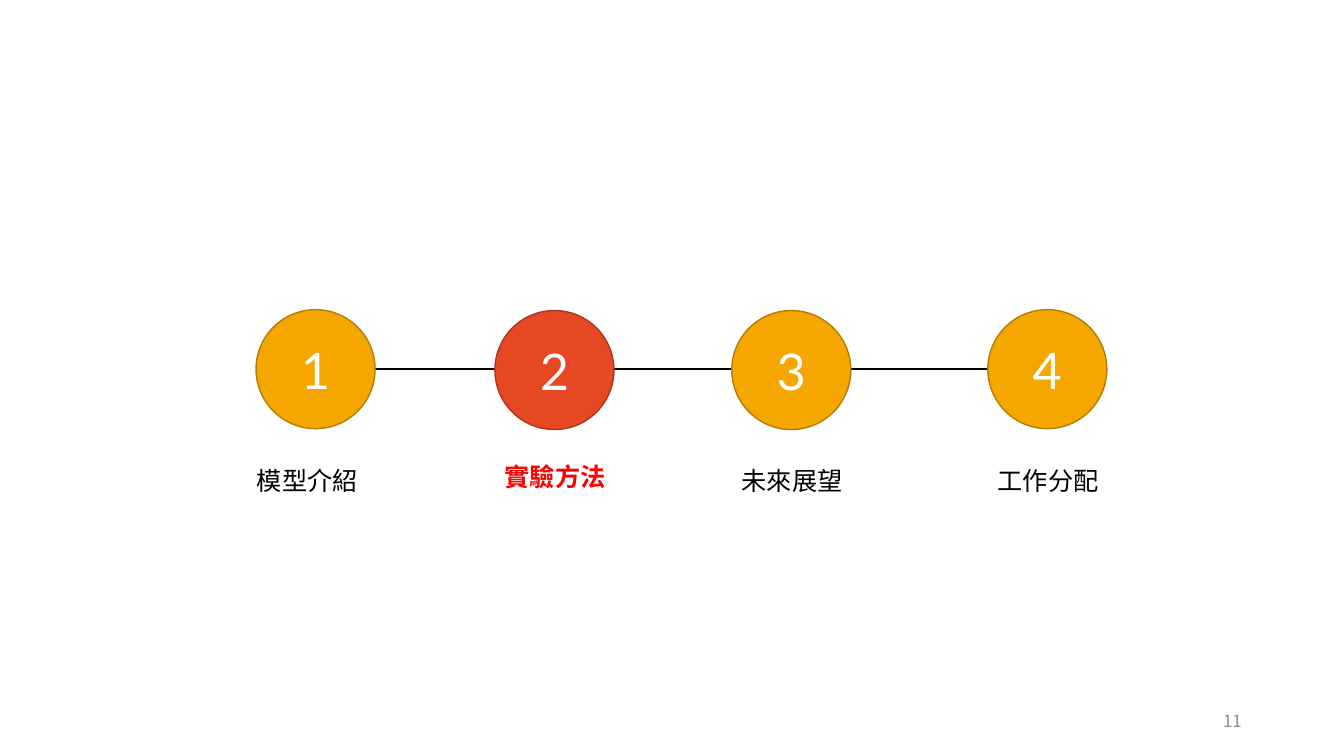
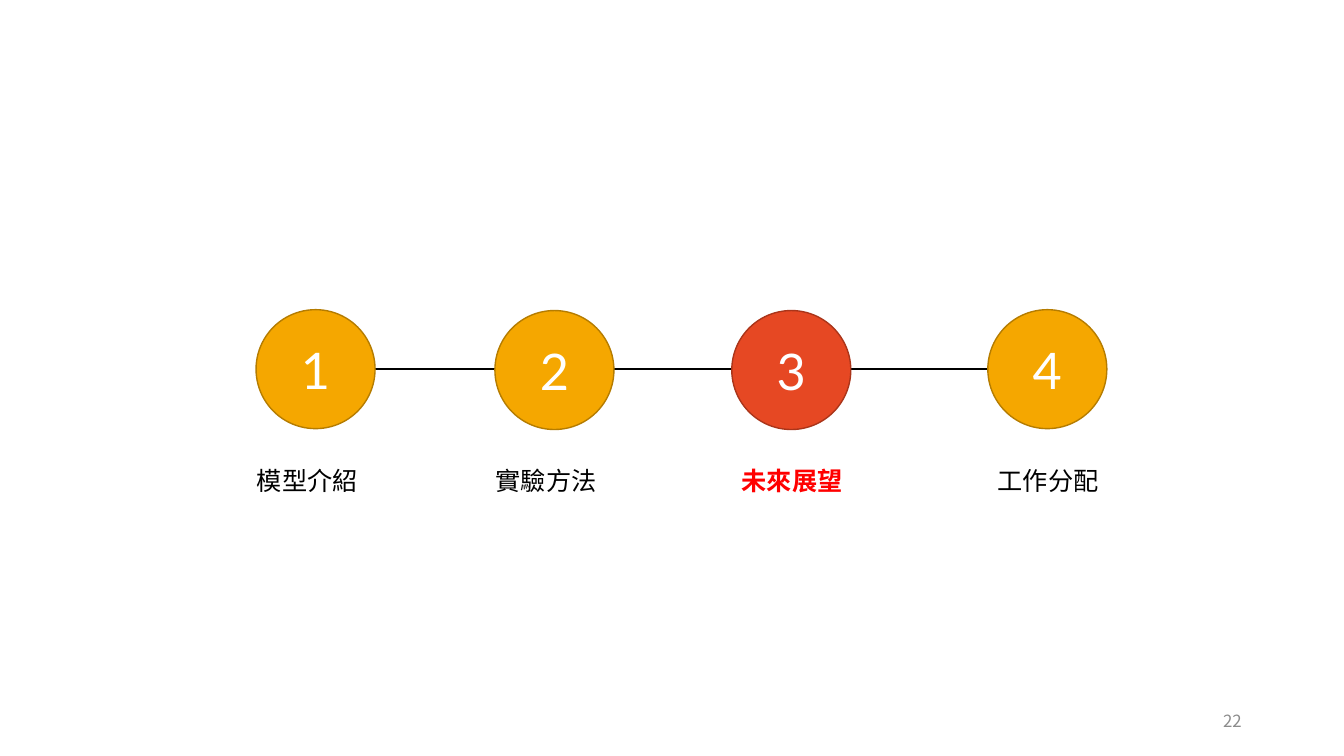
from lxml import etree
from pptx import Presentation
from pptx.dml.color import RGBColor
from pptx.enum.shapes import MSO_CONNECTOR, MSO_SHAPE
from pptx.enum.text import MSO_ANCHOR, PP_ALIGN
from pptx.oxml.ns import qn
from pptx.util import Pt

STRAIGHT = MSO_CONNECTOR.STRAIGHT
OVAL = MSO_SHAPE.OVAL
TOP, MIDDLE = MSO_ANCHOR.TOP, MSO_ANCHOR.MIDDLE
LEFT, CENTER, RIGHT = PP_ALIGN.LEFT, PP_ALIGN.CENTER, PP_ALIGN.RIGHT

COLORS = {
    "amber": "F5A700",
    "amber_edge": "B57C00",
    "red": "E64823",
    "red_edge": "AA351A",
    "active_label": "FF0000",
    "black": "000000",
    "white": "FFFFFF",
    "gray": "8C8C8C",
}
LATIN_FONT = "Lato"
CJK_FONT = "Noto Sans CJK TC"

STEPS = [
    {"label": "模型介紹", "circle": (182.9, 221.2), "label_left": 176.4, "label_width": 98},
    {"label": "實驗方法", "circle": (353.5, 221.8), "label_left": 347, "label_width": 91.4},
    {"label": "未來展望", "circle": (522.7, 221.8), "label_left": 522.7, "label_width": 105},
    {"label": "工作分配", "circle": (705.6, 221.2), "label_left": 705.6, "label_width": 105},
]
PAGES = [
    {"number": "11", "active": 1, "label_shift": (6.5, -2.9)},
    {"number": "22", "active": 2, "label_shift": (0, 0)},
]
DIAMETER = 85
LABEL_TOP = 329
LABEL_HEIGHT = 29
LINE_Y = 263.5


def rgb(name):
    return RGBColor.from_string(COLORS[name])


def write(shape, text, size, color, align, anchor, font=LATIN_FONT, bold=False):
    frame = shape.text_frame
    frame.word_wrap = True
    frame.vertical_anchor = anchor
    frame.text = text
    para = frame.paragraphs[0]
    para.alignment = align
    span = para.runs[0]
    span.font.name = font
    span.font.size = Pt(size)
    span.font.bold = bold
    span.font.color.rgb = rgb(color)
    latin = span.font._element.find(qn("a:latin"))
    east_asian = etree.Element(qn("a:ea"), typeface=CJK_FONT)
    latin.addnext(east_asian)


def add_text(page, left, top, width, height, *style, **options):
    box = page.shapes.add_textbox(Pt(left), Pt(top), Pt(width), Pt(height))
    write(box, *style, **options)


def add_track(page):
    start = STEPS[0]["circle"][0] + DIAMETER
    end = STEPS[-1]["circle"][0]
    track = page.shapes.add_connector(STRAIGHT, Pt(start), Pt(LINE_Y), Pt(end), Pt(LINE_Y))
    track.line.color.rgb = rgb("black")
    track.line.width = Pt(1.5)
    etree.SubElement(track._element.spPr, qn("a:effectLst"))


def add_circle(page, number, step, active):
    left, top = step["circle"]
    color = "red" if active else "amber"
    circle = page.shapes.add_shape(OVAL, Pt(left), Pt(top), Pt(DIAMETER), Pt(DIAMETER))
    circle.shadow.inherit = False
    circle.fill.solid()
    circle.fill.fore_color.rgb = rgb(color)
    circle.line.color.rgb = rgb(color + "_edge")
    circle.line.width = Pt(1)
    write(circle, str(number), 36, "white", CENTER, MIDDLE)


def add_label(page, step, active, shift):
    dx, dy = shift if active else (0, 0)
    color = "active_label" if active else "black"
    add_text(page, step["label_left"] + dx, LABEL_TOP + dy, step["label_width"], LABEL_HEIGHT,
             step["label"], 18, color, LEFT, TOP, bold=active)


def build_page(deck, content):
    page = deck.slides.add_slide(deck.slide_layouts[6])
    add_text(page, 678, 500.5, 216, 28.8, content["number"], 12, "gray", RIGHT, MIDDLE,
             font=CJK_FONT)
    add_track(page)
    for index, step in enumerate(STEPS):
        active = index == content["active"]
        add_circle(page, index + 1, step, active)
        add_label(page, step, active, content["label_shift"])


def main():
    deck = Presentation()
    deck.slide_width, deck.slide_height = Pt(960), Pt(540)
    for content in PAGES:
        build_page(deck, content)
    deck.save("out.pptx")


if __name__ == "__main__":
    main()
